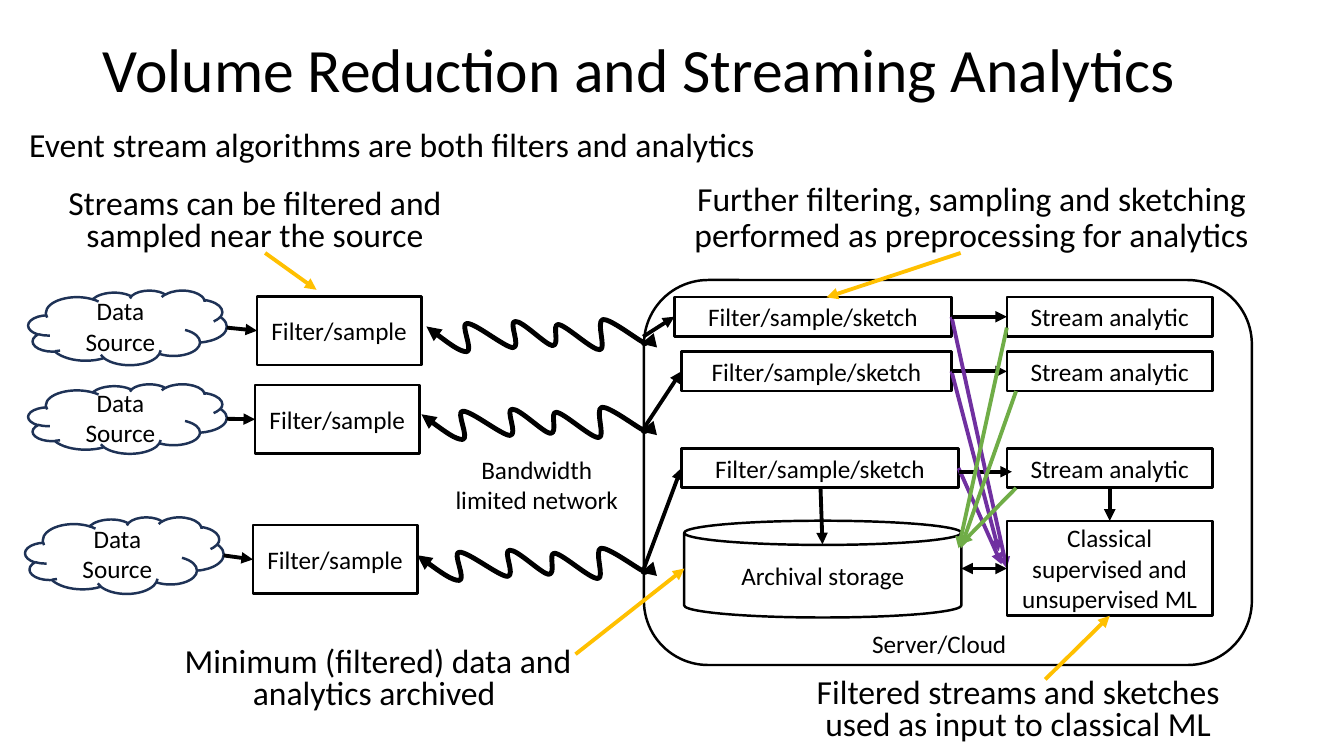
import dataclasses
import lxml.etree
import pptx
import pptx.dml.color
import pptx.enum.shapes
import pptx.enum.text
import pptx.oxml.ns
import pptx.util

Pt = pptx.util.Pt
PRESET = pptx.enum.shapes.MSO_SHAPE
ALIGN = pptx.enum.text.PP_ALIGN
ANCHOR = pptx.enum.text.MSO_ANCHOR


@dataclasses.dataclass(frozen=True)
class Theme:
    font: str = "Calibri"
    ink: str = "000000"
    cloud: str = "1E3256"
    model: str = "7030A0"
    archive: str = "70AD47"
    callout: str = "FFC000"
    title: int = 44
    note: int = 24
    label: int = 18
    outline: float = 1.75
    arrow: float = 2.75
    wave: float = 3.5


THEME = Theme()
WAVE_WIDTH, WAVE_HEIGHT = 217, 32
WAVE_START = (0, 7)
WAVE_CURVES = [
    ((17, 20), (33, 32), (40, 32)),
    ((47, 31), (33, 4), (40, 4)),
    ((48, 3), (78, 28), (86, 28)),
    ((94, 27), (81, 2), (88, 2)),
    ((95, 1), (118, 25), (125, 26)),
    ((133, 26), (124, 4), (131, 5)),
    ((139, 6), (165, 31), (172, 30)),
    ((179, 30), (168, 2), (175, 0)),
    ((182, -1), (208, 19), (214, 22)),
    ((220, 26), (212, 22), (212, 22)),
    ((212, 22), (214, 11), (213, 24)),
]


def apply(target, values):
    for name, value in values.items():
        setattr(target, name, value)


def rgb(colour):
    return pptx.dml.color.RGBColor.from_string(colour)


def place(box, left, top, width, height):
    return box[0] + left, box[1] + top, width, height


def write(frame, text, size, align=ALIGN.CENTER, anchor=ANCHOR.MIDDLE, spacing=1.0):
    apply(frame, {"word_wrap": True, "vertical_anchor": anchor,
                  "auto_size": pptx.enum.text.MSO_AUTO_SIZE.NONE})
    paragraph = frame.paragraphs[0]
    apply(paragraph, {"alignment": align, "line_spacing": spacing, "space_before": Pt(0)})
    run = paragraph.add_run()
    run.text = text
    apply(run.font, {"name": THEME.font, "size": Pt(size)})
    run.font.color.rgb = rgb(THEME.ink)


def add_text(slide, box, text, size, **style):
    frame = slide.shapes.add_textbox(*map(Pt, box)).text_frame
    write(frame, text, size, **style)


def add_node(slide, preset, box, text="", colour=THEME.ink):
    node = slide.shapes.add_shape(preset, *map(Pt, box))
    node.shadow.inherit = False
    node.fill.background()
    node.line.color.rgb = rgb(colour)
    node.line.width = Pt(THEME.outline)
    if text:
        write(node.text_frame, text, THEME.label)


def style_arrow(line, colour, width, ends):
    line.color.rgb = rgb(colour)
    line.width = Pt(width)
    outline = line._get_or_add_ln()
    for end in ends:
        lxml.etree.SubElement(outline, pptx.oxml.ns.qn(f"a:{end}"), type="triangle")


def add_arrow(slide, box, start, finish, colour=THEME.ink, ends=("tailEnd",)):
    x, y = box[:2]
    arrow = slide.shapes.add_connector(
        pptx.enum.shapes.MSO_CONNECTOR.STRAIGHT,
        Pt(x + start[0]), Pt(y + start[1]), Pt(x + finish[0]), Pt(y + finish[1]))
    style_arrow(arrow.line, colour, THEME.arrow, ends)
    lxml.etree.SubElement(arrow._element.spPr, pptx.oxml.ns.qn("a:effectLst"))


def add_wave(slide, box):
    left, top, width, height = box

    def scaled(point):
        return (Pt(left + point[0] * width / WAVE_WIDTH),
                Pt(top + point[1] * height / WAVE_HEIGHT))

    builder = slide.shapes.build_freeform(*scaled(WAVE_START))
    builder.add_line_segments(
        [scaled(point) for curve in WAVE_CURVES for point in curve], close=False)
    wave = builder.convert_to_shape()
    segments = list(wave._element.iter(pptx.oxml.ns.qn("a:lnTo")))
    outline = segments[0].getparent()
    for index in range(0, len(segments), 3):
        curve = lxml.etree.SubElement(outline, pptx.oxml.ns.qn("a:cubicBezTo"))
        for segment in segments[index:index + 3]:
            curve.append(segment[0])
            outline.remove(segment)
    wave.shadow.inherit = False
    wave.fill.background()
    style_arrow(wave.line, THEME.ink, THEME.wave, ("headEnd", "tailEnd"))


def heading(slide, box):
    title, summary = slide.shapes.title, slide.placeholders[1]
    for holder, area in ((title, (52.5, 0, 828, 104.2)), (summary, (0, 88.5, 932, 37.5))):
        spots = map(Pt, place(box, *area))
        apply(holder, dict(zip(("left", "top", "width", "height"), spots)))
    properties = summary.text_frame.paragraphs[0]._p.get_or_add_pPr()
    for name in ("marL", "indent"):
        properties.set(name, "0")
    lxml.etree.SubElement(properties, pptx.oxml.ns.qn("a:buNone"))
    write(title.text_frame, "Volume Reduction and Streaming Analytics",
          THEME.title, align=ALIGN.LEFT, spacing=0.9)
    write(summary.text_frame, "Event stream algorithms are both filters and analytics",
          THEME.note, align=ALIGN.LEFT, anchor=ANCHOR.TOP, spacing=0.9)


def sources(slide, box):
    lanes = [(2.2, 0, 53.3, 165.6, 4.3), (2.2, 66.9, 49.7, 164.2, 67.6),
             (0, 162, 54.7, 162.7, 167.7)]
    for cloud_left, cloud_top, cloud_height, filter_left, filter_top in lanes:
        add_node(slide, PRESET.CLOUD, place(box, cloud_left, cloud_top, 141.8, cloud_height),
                 "Data Source", THEME.cloud)
        add_node(slide, PRESET.RECTANGLE, place(box, filter_left, filter_top, 117.4, 49),
                 "Filter/sample")
        add_arrow(slide, box, (cloud_left + 141.8, cloud_top + cloud_height / 2),
                  (filter_left, filter_top + 24.5))


def network(slide, box):
    right = box[2]
    for left, top in ((6.6, 0), (3, 62.7), (0, 163.4)):
        add_wave(slide, place(box, left, top, right - left, 23))
    add_text(slide, place(box, 11.6, 91.5, 147.6, 52.6), "Bandwidth limited network", THEME.label)


def server(slide, box):
    add_node(slide, PRESET.ROUNDED_RECTANGLE, box)
    row_height, analytic_left, analytic_width = 28.1, 259.2, 146.9
    rows = [
        (26.7, 120.3, 198, 207.5, 2.6, 3.6, (255.5, 203.2)),
        (26.7, 51.2, 193, 106.7, 0, 0, (253.5, 193.8)),
        (21.7, 12.2, 198, 40.5, 0, 0, (259.2, 206.1)),
    ]
    for left, top, width, entry, drop, nudge, model in rows:
        middle, right = top + row_height / 2, left + width
        add_node(slide, PRESET.RECTANGLE, place(box, left, top, width, row_height),
                 "Filter/sample/sketch")
        add_node(slide, PRESET.RECTANGLE,
                 place(box, analytic_left, top, analytic_width, row_height), "Stream analytic")
        add_arrow(slide, box, (-0.6, entry), (left, middle))
        add_arrow(slide, box, (right, middle), model, THEME.model)
        add_arrow(slide, box, (right, middle + drop), (analytic_left + nudge, middle + drop))
    add_node(slide, PRESET.CAN, place(box, 28.7, 172, 198, 69.1), "Archival storage")
    add_node(slide, PRESET.RECTANGLE, place(box, analytic_left, 172, analytic_width, 67.7),
             "Classical supervised and unsupervised ML")
    add_arrow(slide, box, (126.1, 148.5), (127.5, 188.8))
    add_arrow(slide, box, (332.7, 148.5), (332.7, 172))
    add_arrow(slide, box, (226.7, 206.1), (analytic_left, 206.1), ends=("headEnd", "tailEnd"))
    add_text(slide, place(box, 130.3, 245.7, 161.3, 28), "Server/Cloud", THEME.label)
    for analytic, archive in (((259.2, 34), (224.7, 191.7)),
                              ((265.8, 79.4), (226.2, 191.7)),
                              ((265.8, 148.5), (226.2, 188.8))):
        add_arrow(slide, box, analytic, archive, THEME.archive)


def callouts(slide, box):
    notes = [
        ("Streams can be filtered and sampled near the source",
         (33.8, 131.8, 296.6, 56.9), 0.8, (189.4, 180.7), (226.1, 207)),
        ("Further filtering, sampling and sketching performed as preprocessing for analytics",
         (447.8, 126.7, 492.5, 63.4), 0.9, (686.2, 180.7), (590.4, 212.4)),
        ("Minimum (filtered) data and analytics archived ",
         (121.7, 458.9, 296.6, 56.9), 0.8, (411.1, 467.3), (488.9, 406.1)),
        ("Filtered streams and sketches used as input to classical ML",
         (555.1, 481, 344.2, 56.9), 0.8, (746.6, 485.3), (792.7, 439.9)),
    ]
    for text, area, spacing, start, finish in notes:
        add_text(slide, place(box, *area), text, THEME.note, anchor=ANCHOR.TOP, spacing=spacing)
        add_arrow(slide, box, start, finish, THEME.callout)


def main():
    deck = pptx.Presentation()
    apply(deck, {"slide_width": Pt(960), "slide_height": Pt(540)})
    slide = deck.slides.add_slide(deck.slide_layouts[1])
    heading(slide, (13.7, 0, 932, 126))
    sources(slide, (18, 207.4, 280.1, 216.8))
    server(slide, (460, 200, 434.2, 275))
    network(slide, (298, 228.2, 162.8, 186.4))
    callouts(slide, (0, 0, 960, 540))
    deck.save("out.pptx")


if __name__ == "__main__":
    main()
